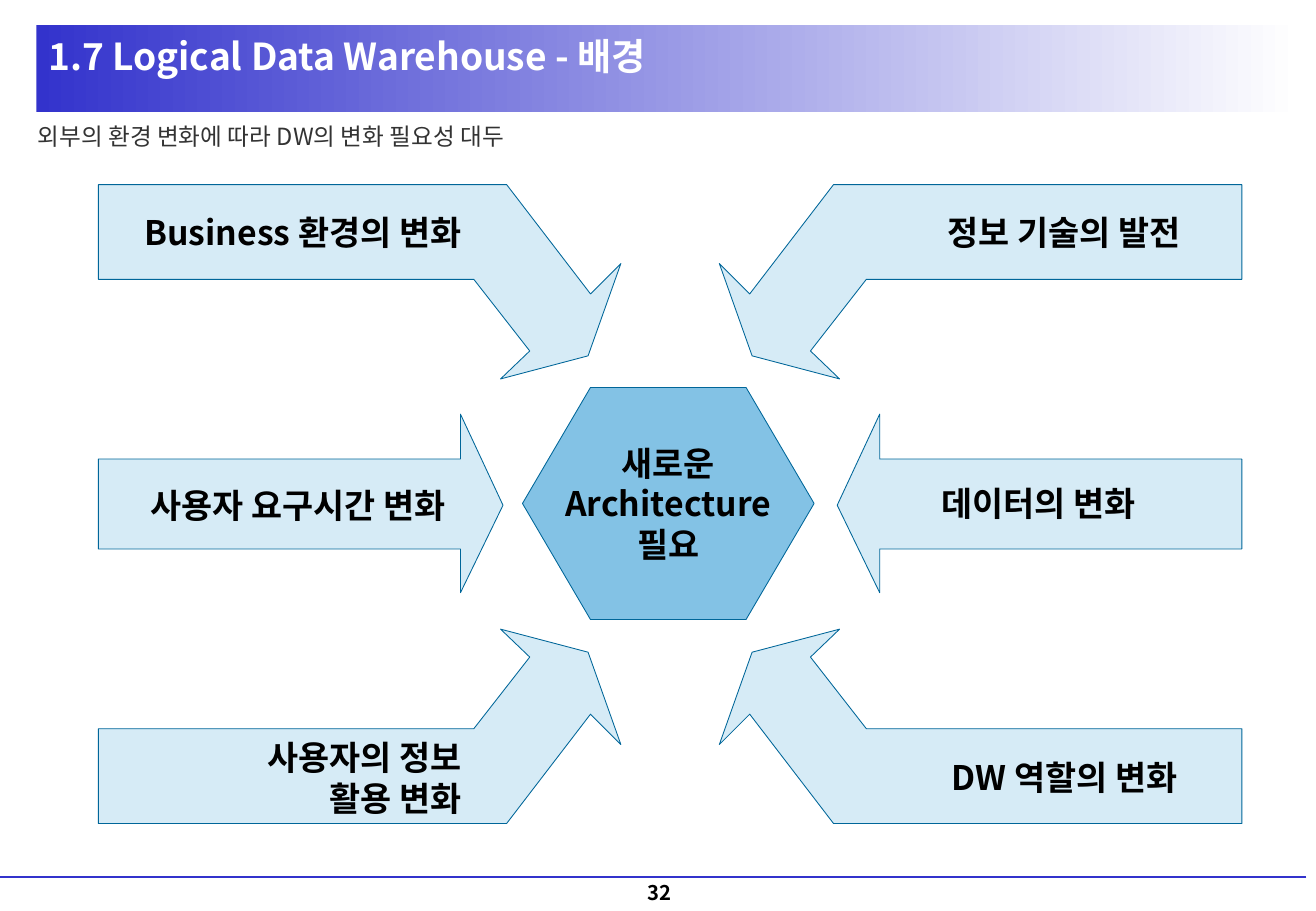
"""Build the slide on why a logical data warehouse is needed."""
from lxml import etree
from pptx import Presentation
from pptx.dml.color import RGBColor
from pptx.enum import shapes, text
from pptx.oxml.ns import qn
from pptx.util import Inches, Pt

FONT = "Noto Sans CJK KR"
LEFT, CENTER, RIGHT = text.PP_ALIGN.LEFT, text.PP_ALIGN.CENTER, text.PP_ALIGN.RIGHT
MIDDLE = text.MSO_ANCHOR.MIDDLE


def paint(shape, fill, line):
    shape.shadow.inherit = False
    shape.fill.solid()
    shape.fill.fore_color.rgb = RGBColor.from_string(fill)
    shape.line.color.rgb = RGBColor.from_string(line)
    shape.line.width = Pt(0.5)


def write(shape, lines, size, color="000000", bold=True, align=LEFT,
          anchor=MIDDLE, inset=(0.05, 0.05), wrap=False):
    frame = shape.text_frame
    frame.word_wrap = wrap
    frame.vertical_anchor = anchor
    frame.margin_left = frame.margin_right = Inches(inset[0])
    frame.margin_top = frame.margin_bottom = Inches(inset[1])
    frame.text = lines
    for paragraph in frame.paragraphs:
        paragraph.alignment = align
        font = paragraph.font
        font.name, font.size, font.bold = FONT, Pt(size), bold
        font.color.rgb = RGBColor.from_string(color)
        east_asian = etree.Element(qn("a:ea"), typeface=FONT)
        paragraph._p.pPr.find(qn("a:defRPr")).find(qn("a:latin")).addnext(east_asian)


deck = Presentation()
deck.slide_width, deck.slide_height = Inches(10.83), Inches(7.5)
slide = deck.slides.add_slide(deck.slide_layouts[6])
canvas = slide.shapes

banner = canvas.add_shape(shapes.MSO_SHAPE.RECTANGLE, Inches(0.3), Inches(0.21),
                          Inches(10.4), Inches(0.71))
banner.shadow.inherit = False
banner.line.fill.background()
banner.fill.gradient()
banner.fill.gradient_angle = 0
for stop, color in zip(banner.fill.gradient_stops, ("3333CC", "FFFFFF")):
    stop.color.rgb = RGBColor.from_string(color)

page_number = canvas.add_textbox(Inches(4.3), Inches(7.21), Inches(2.26), Inches(0.29))
write(page_number, "32", 12, align=CENTER, anchor=text.MSO_ANCHOR.BOTTOM,
      inset=(0.1, 0.05), wrap=True)

footer_rule = canvas.add_connector(shapes.MSO_CONNECTOR.STRAIGHT, Inches(10.75),
                                   Inches(7.22), Inches(0), Inches(7.22))
footer_rule.line.color.rgb = RGBColor.from_string("3333CC")
footer_rule.line.width = Pt(1.5)
etree.SubElement(footer_rule._element.spPr, qn("a:effectLst"))

title = canvas.add_textbox(Inches(0.3), Inches(0.22), Inches(6.74), Inches(0.48))
write(title, "1.7 Logical Data Warehouse - 배경", 22, "FFFFFF",
      inset=(0.1, 0.05), wrap=True)

summary = canvas.add_textbox(Inches(0.31), Inches(1), Inches(10.32), Inches(1.03))
write(summary, "외부의 환경 변화에 따라 DW의 변화 필요성 대두", 14, "333333", bold=False,
      anchor=text.MSO_ANCHOR.TOP, inset=(0, 0), wrap=True)

core = canvas.add_shape(shapes.MSO_SHAPE.HEXAGON, Inches(4.3), Inches(3.19),
                        Inches(2.4), Inches(1.91))
core.adjustments[0], core.adjustments[1] = 0.293, 1.155
paint(core, "83C2E5", "006699")
write(core, "새로운\nArchitecture\n필요", 20, align=CENTER)

straight = [(0.81, 4.52), (0.81, 3.78), (3.79, 3.78), (3.79, 3.41),
            (4.14, 4.16), (3.79, 4.88), (3.79, 4.52)]
bent = [(0.81, 1.52), (4.17, 1.52), (4.86, 2.42), (5.11, 2.17), (4.84, 2.93),
        (4.12, 3.12), (4.36, 2.89), (3.9, 2.3), (0.81, 2.3)]
MIRROR_X, MIRROR_Y = 11.03, 8.3
for outline, flip_x, flip_y in ((straight, False, False), (bent, False, False),
                                (bent, True, False), (bent, False, True),
                                (bent, True, True), (straight, True, False)):
    points = [(Inches(MIRROR_X - x if flip_x else x),
               Inches(MIRROR_Y - y if flip_y else y)) for x, y in outline]
    builder = canvas.build_freeform(*points[0])
    builder.add_line_segments(points[1:], close=True)
    paint(builder.convert_to_shape(), "D6EBF6", "006699")

for driver, left, top, width, align in (
        ("Business 환경의 변화", 1.07, 1.68, 2.78, RIGHT),
        ("사용자 요구시간 변화", 0.94, 3.93, 2.78, RIGHT),
        ("사용자의 정보 활용 변화", 1.73, 6.17, 2.12, RIGHT),
        ("DW 역할의 변화", 7.41, 6.17, 2.7, CENTER),
        ("데이터의 변화", 7.41, 3.91, 2.27, CENTER),
        ("정보 기술의 발전", 7.41, 1.68, 2.7, CENTER)):
    label = canvas.add_textbox(Inches(left), Inches(top), Inches(width), Inches(0.46))
    write(label, driver, 20, align=align)

deck.save("out.pptx")
